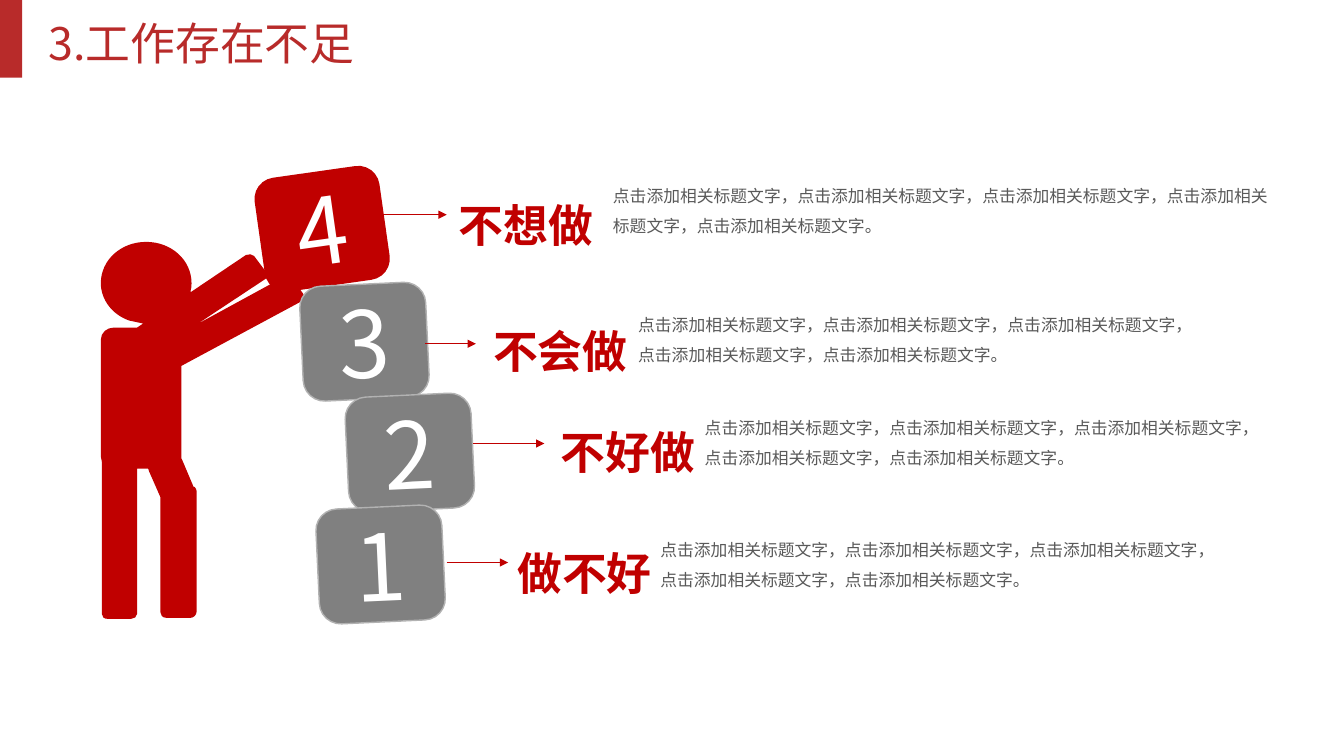
from lxml.etree import SubElement
from pptx import Presentation
from pptx.dml.color import RGBColor
from pptx.enum.shapes import MSO_CONNECTOR as LINK, MSO_SHAPE as SHAPE
from pptx.enum.text import MSO_ANCHOR as ANCHOR, PP_ALIGN as ALIGN
from pptx.oxml.ns import qn
from pptx.util import Inches, Pt

BRICK = RGBColor(0xB8, 0x2B, 0x2A)
RED = RGBColor(0xC0, 0x00, 0x00)
GRAY = RGBColor(0x80, 0x80, 0x80)
EDGE = RGBColor(0xB2, 0xB2, 0xB2)
INK = RGBColor(0x59, 0x59, 0x59)
WHITE = RGBColor(0xFF, 0xFF, 0xFF)
SANS = "Noto Sans CJK SC"
BODY = "Arial"

TITLE = "3.工作存在不足"
PHRASE = "点击添加相关标题文字"
NOTE = "，".join([PHRASE] * 5) + "。"

STEPS = [
    ("4", "不想做", (2.57, 1.7, 351.9), (3.77, 4.43, 2.13), (4.55, 1.88, 1.69), (6.08, 1.74, 6.54)),
    ("3", "不会做", (2.99, 2.82, 357.3), (4.22, 4.72, 3.41), (4.89, 3.13, 1.92), (6.33, 3.02, 5.64)),
    ("2", "不好做", (3.44, 3.92, 357.3), (4.69, 5.4, 4.4), (5.56, 4.14, 1.55), (6.99, 4.04, 5.64)),
    ("1", "做不好", (3.15, 5.03, 357.3), (4.43, 5.04, 5.58), (5.13, 5.34, 1.43), (6.55, 5.25, 5.64)),
]

MAN = [
    (1.45, 2.4), (1.7, 2.4, 1.9, 2.58, 1.9, 2.81), (1.9, 2.83, 1.9, 2.86, 1.89, 2.89),
    (1.89, 2.9), (2.44, 2.53), (2.47, 2.52, 2.5, 2.52, 2.52, 2.54),
    (2.64, 2.7), (2.66, 2.72, 2.66, 2.75, 2.63, 2.77), (1.95, 3.22),
    (2.83, 2.74), (2.85, 2.73, 2.88, 2.73, 2.9, 2.76),
    (3.01, 2.92), (3.02, 2.94, 3.02, 2.97, 2.99, 2.99),
    (1.8, 3.63), (1.8, 4.53), (1.8, 4.55), (1.81, 4.57), (1.92, 4.83), (1.93, 4.83),
    (1.94, 4.84, 1.95, 4.86, 1.95, 4.87), (1.95, 6.07), (1.95, 6.1, 1.92, 6.13, 1.89, 6.13),
    (1.65, 6.13), (1.61, 6.13, 1.59, 6.1, 1.59, 6.07), (1.59, 4.93),
    (1.48, 4.68), (1.47, 4.65), (1.36, 4.65),
    (1.36, 6.09), (1.36, 6.12, 1.33, 6.14, 1.3, 6.14),
    (1.07, 6.14), (1.03, 6.14, 1.01, 6.12, 1.01, 6.09), (1.01, 4.6), (1.01, 4.58),
    (1, 4.56, 1, 4.55, 1, 4.53), (1, 3.37), (1, 3.3, 1.06, 3.25, 1.13, 3.25),
    (1.36, 3.25), (1.42, 3.21), (1.28, 3.18),
    (1.11, 3.12, 1, 2.97, 1, 2.81), (1, 2.58, 1.2, 2.4, 1.45, 2.4),
]


def paint(shape, fill, edge=None):
    shape.shadow.inherit = False
    shape.fill.solid()
    shape.fill.fore_color.rgb = fill
    if edge is None:
        shape.line.fill.background()
    else:
        shape.line.color.rgb = edge
        shape.line.width = Pt(1)


def write(para, text, size, face, color, bold=False):
    run = para.add_run()
    run.text = text
    font = run.font
    font.size, font.name, font.bold = Pt(size), face, bold
    font.color.rgb = color
    SubElement(run._r.get_or_add_rPr(), qn("a:ea")).set("typeface", face)


def add_text(box, text, size, face, color, bold=False, space=None, inset=True, anchor=ANCHOR.TOP):
    frame = shapes.add_textbox(*map(Inches, box)).text_frame
    frame.word_wrap = True
    frame.vertical_anchor = anchor
    if not inset:
        frame.margin_left = frame.margin_right = frame.margin_top = frame.margin_bottom = 0
    para = frame.paragraphs[0]
    if space:
        para.line_spacing = space
    write(para, text, size, face, color, bold)


def add_man():
    ends = [tuple(map(Inches, step[-2:])) for step in MAN]
    pen = shapes.build_freeform(*ends[0], scale=1)
    pen.add_line_segments(ends[1:], close=True)
    man = pen.convert_to_shape()
    paint(man, RED)
    lines = list(man._element.iter(qn("a:lnTo")))
    for line, step in zip(lines, MAN[1:]):
        if len(step) == 6:
            line.tag = qn("a:cubicBezTo")
            line.remove(line[0])
            for x, y in zip(step[::2], step[1::2]):
                spot = SubElement(line, qn("a:pt"))
                spot.set("x", str(Inches(x) - man.left))
                spot.set("y", str(Inches(y) - man.top))


def add_block(digit, left, top, turn):
    block = shapes.add_shape(SHAPE.ROUNDED_RECTANGLE, *map(Inches, (left, top, 1.25, 1.14)))
    block.adjustments[0] = 0.186
    block.rotation = turn
    first = digit == "4"
    paint(block, RED if first else GRAY, None if first else EDGE)
    frame = block.text_frame
    frame.vertical_anchor = ANCHOR.MIDDLE
    frame.paragraphs[0].alignment = ALIGN.CENTER
    write(frame.paragraphs[0], digit, 66, SANS, WHITE)


def add_arrow(start, end, level):
    arrow = shapes.add_connector(LINK.STRAIGHT, *map(Inches, (start, level, end, level)))
    arrow.line.color.rgb = RED
    arrow.line.width = Pt(0.5)
    props = arrow._element.spPr
    SubElement(props.find(qn("a:ln")), qn("a:tailEnd")).set("type", "triangle")
    SubElement(props, qn("a:effectLst"))


deck = Presentation()
deck.slide_width, deck.slide_height = Inches(13.33), Inches(7.5)
shapes = deck.slides.add_slide(deck.slide_layouts[6]).shapes

add_text((0.38, 0.11, 3.3, 0.64), TITLE, 32, SANS, BRICK)
paint(shapes.add_shape(SHAPE.RECTANGLE, 0, 0, Inches(0.22), Inches(0.77)), BRICK)
add_man()

for digit, label, block, arrow, head, note in STEPS:
    add_block(digit, *block)
    add_arrow(*arrow)
    add_text((*head, 0.53), label, 32, SANS, RED, True, 1.3, False, ANCHOR.MIDDLE)
    add_text((*note, 0.7), NOTE, 12, BODY, INK, space=1.5, inset=False)

deck.save("out.pptx")
